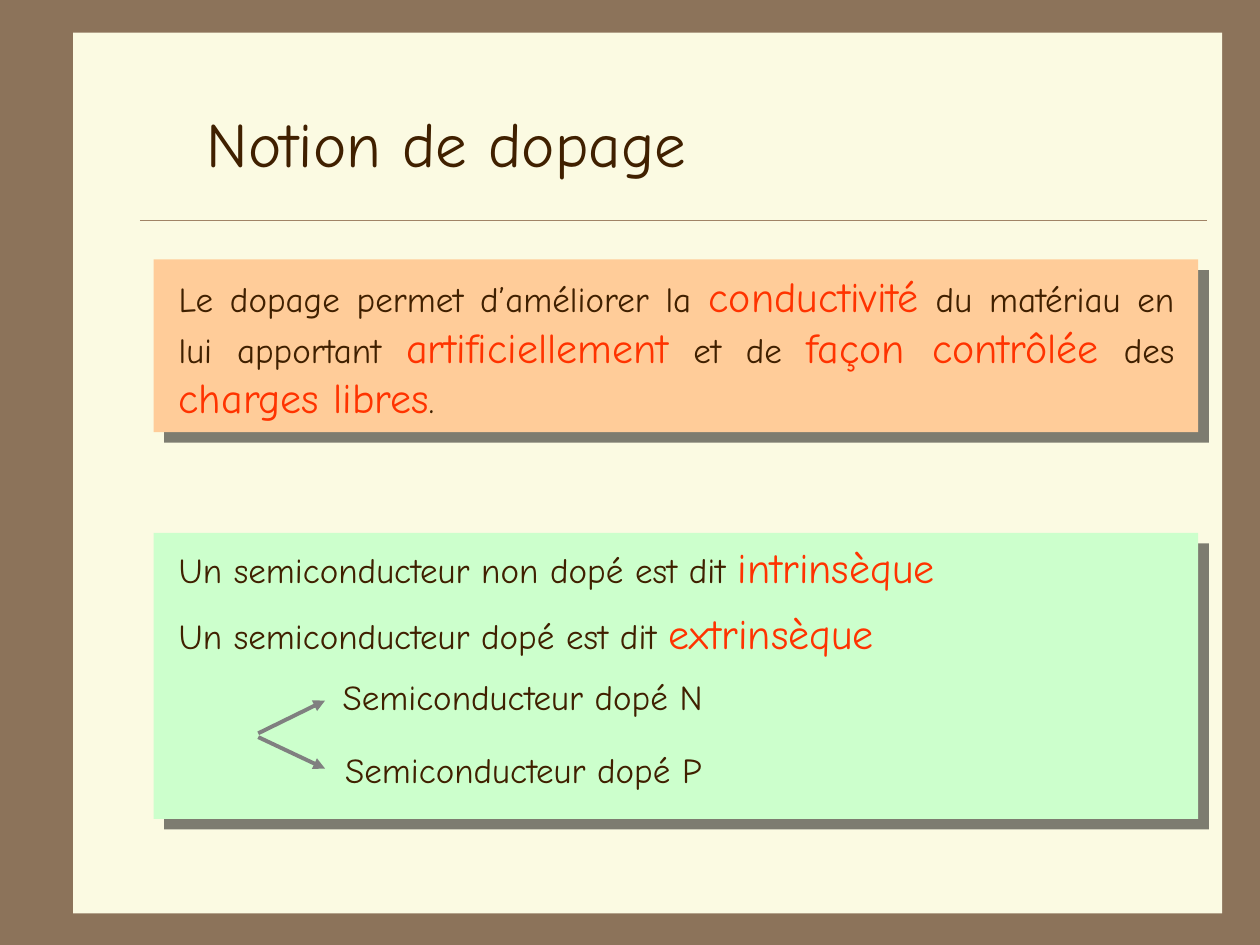
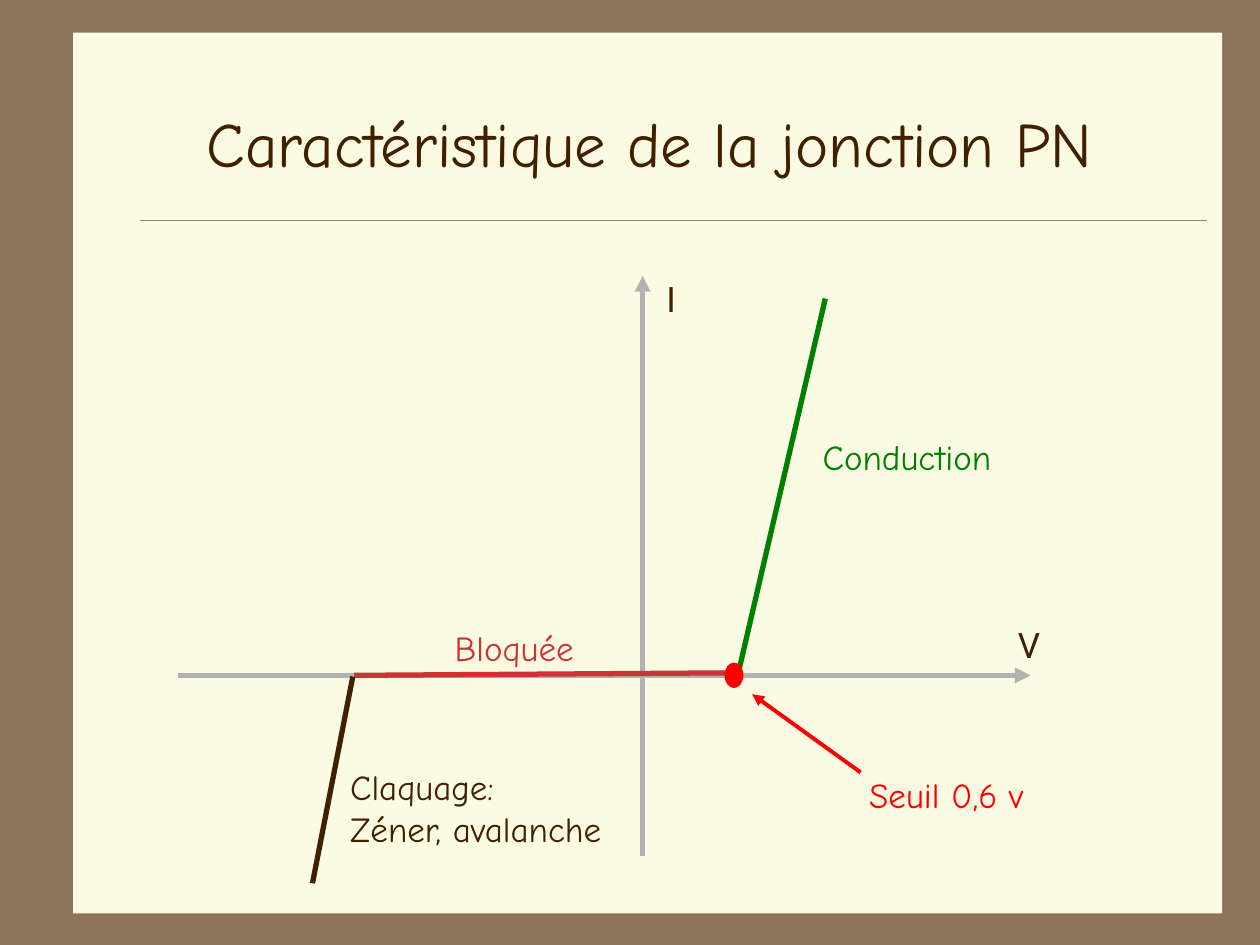
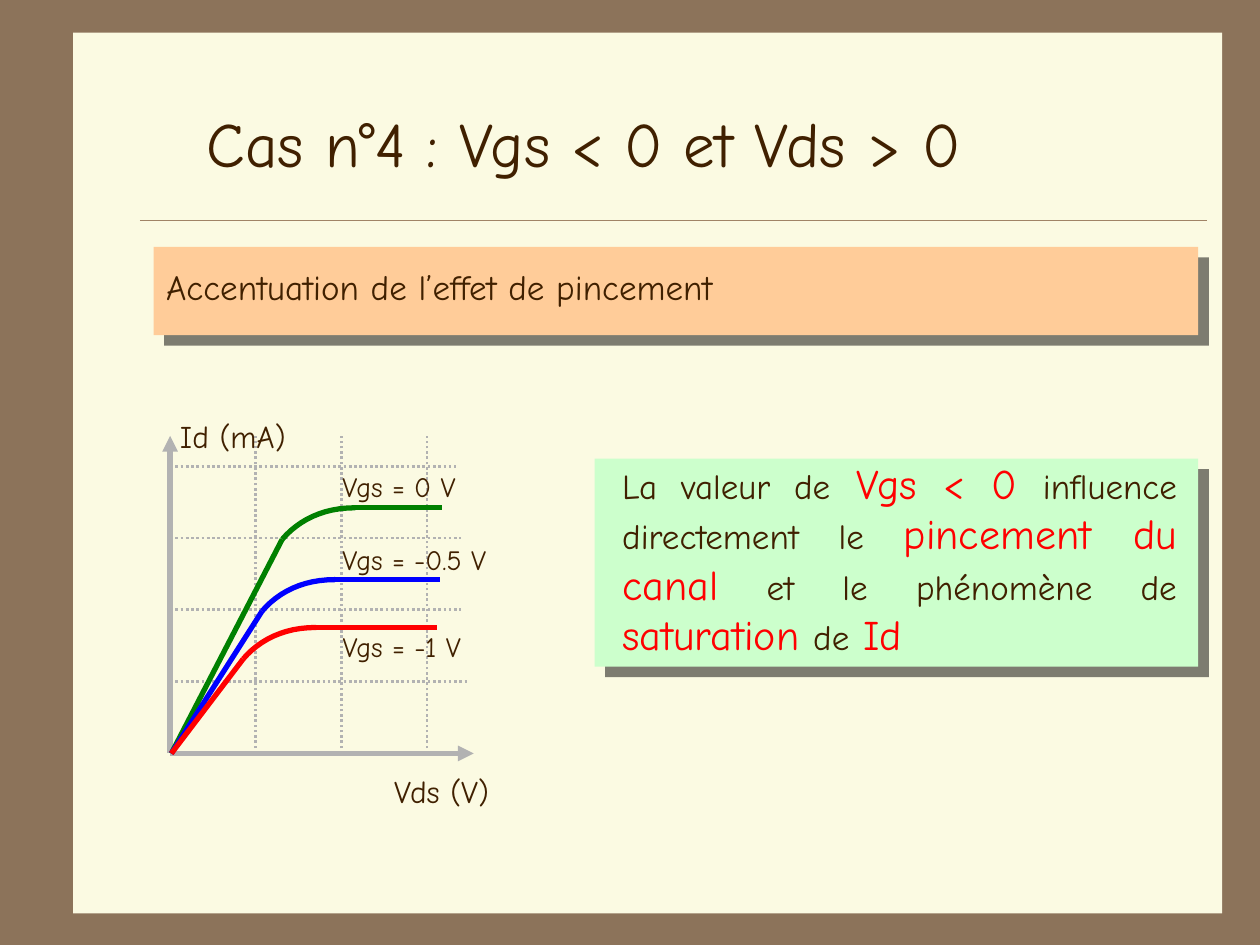
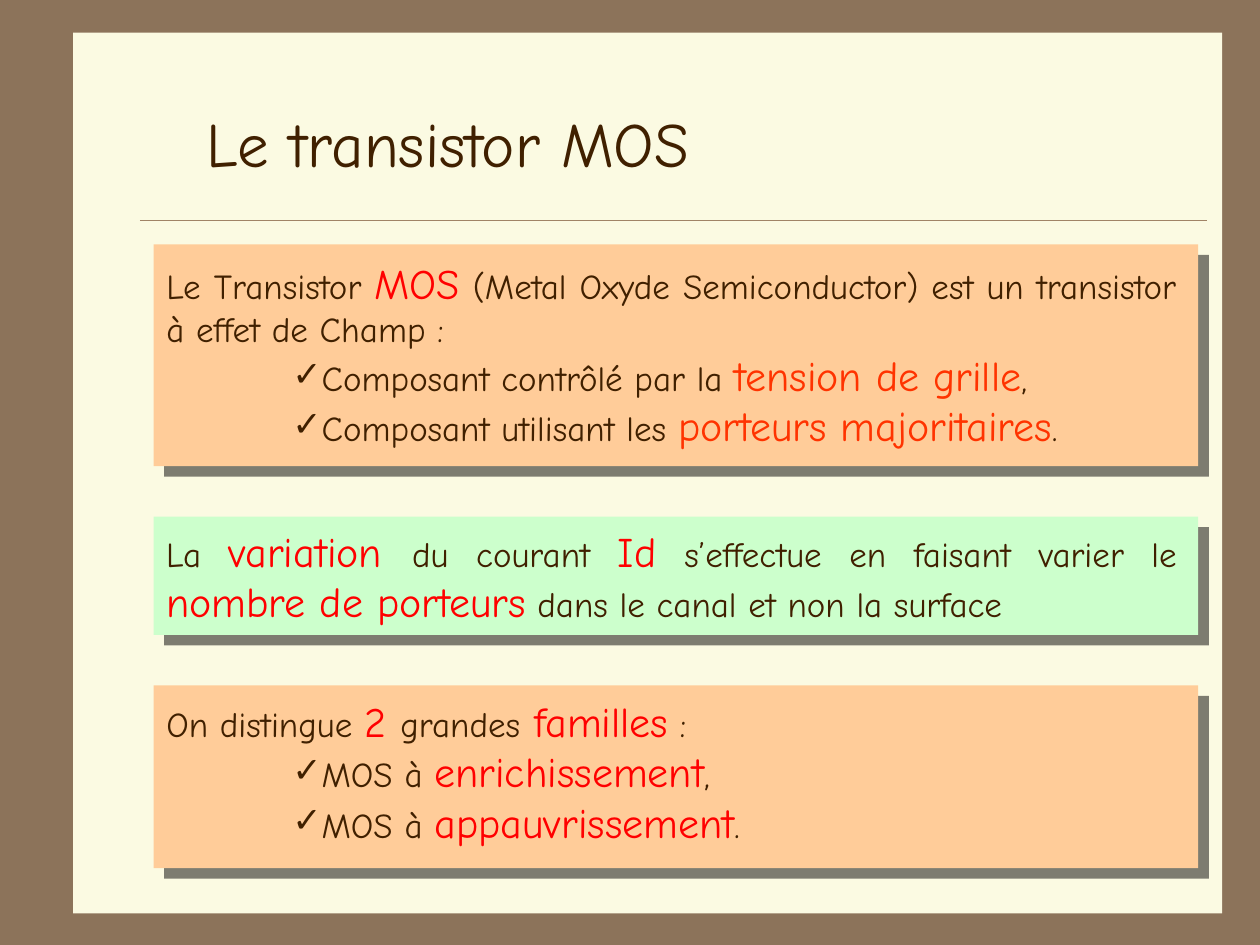
from lxml.etree import SubElement
from pptx import Presentation
from pptx.dml.color import RGBColor
from pptx.enum.dml import MSO_LINE
from pptx.enum.shapes import MSO_CONNECTOR, MSO_SHAPE
from pptx.enum.text import MSO_ANCHOR, MSO_AUTO_SIZE, PP_ALIGN
from pptx.oxml.ns import qn
from pptx.util import Inches, Pt

COLORS = {
    "frame": "8C735A", "paper": "FBFAE2", "rule": "A08366", "ink": "402000",
    "peach": "FFCC99", "mint": "CCFFCC", "shadow": "000000",
    "orange": "FF3300", "red": "FF0000", "brick": "CD3333",
    "green": "008000", "blue": "0000FF", "axis": "B2B2B2", "arrow": "808080",
}
FONT = "Comic Neue"
AXIS_FONT = "Roboto"
TITLE_ONLY, TWO_CONTENT = 5, 3
CARD_LEFT, CARD_WIDTH = 1.22, 8.29
TEXT_WIDTH = 8.22


def color(name):
    return RGBColor.from_string(COLORS[name])


def add_span(para, text, size=20, tone="ink", font=FONT):
    span = para.add_run()
    span.text = text
    span.font.size = Pt(size)
    span.font.name = font
    span.font.color.rgb = color(tone)


def write_spans(para, spans):
    """Write plain strings in ink, and (text, tone) pairs larger and coloured."""
    for item in spans:
        if isinstance(item, str):
            add_span(para, item)
        else:
            add_span(para, item[0], 24, item[1])


def place(shape, left, top, width, height):
    shape.left, shape.top = Inches(left), Inches(top)
    shape.width, shape.height = Inches(width), Inches(height)


def prepare_frame(shape, wrap):
    frame = shape.text_frame
    frame.word_wrap = wrap
    frame.auto_size = MSO_AUTO_SIZE.NONE
    frame.vertical_anchor = MSO_ANCHOR.TOP
    return frame


def add_label(page, left, top, width, height, lines, size=20, tone="ink", font=FONT):
    box = page.shapes.add_textbox(*map(Inches, (left, top, width, height)))
    frame = prepare_frame(box, False)
    for number, text in enumerate(lines.split("\n")):
        para = frame.add_paragraph() if number else frame.paragraphs[0]
        add_span(para, text, size, tone, font)


def add_statement(page, left, top, width, height, spans, align=PP_ALIGN.JUSTIFY):
    box = page.shapes.add_textbox(*map(Inches, (left, top, width, height)))
    para = prepare_frame(box, True).paragraphs[0]
    para.alignment = align
    write_spans(para, spans)


def fill_list(holder, box, intro, items):
    """Write an introduction and its check-marked items in a body placeholder."""
    place(holder, *box)
    frame = prepare_frame(holder, True)
    for number, spans in enumerate([intro, *items]):
        para = frame.add_paragraph() if number else frame.paragraphs[0]
        para.alignment = PP_ALIGN.JUSTIFY
        para.space_before = Pt(0)
        properties = para._p.get_or_add_pPr()
        properties.set("marL", str(Inches(1 if number else 0)))
        properties.set("indent", "0")
        if number:
            SubElement(properties, qn("a:buFont"), typeface=FONT)
            SubElement(properties, qn("a:buChar"), char="✓")
        else:
            SubElement(properties, qn("a:buNone"))
        write_spans(para, spans)


def add_block(page, kind, left, top, width, height, tone):
    block = page.shapes.add_shape(kind, *map(Inches, (left, top, width, height)))
    block.shadow.inherit = False
    block.fill.solid()
    block.fill.fore_color.rgb = color(tone)
    block.line.fill.background()
    return block


def add_card(page, top, height, tone, left=CARD_LEFT, width=CARD_WIDTH):
    card = add_block(page, MSO_SHAPE.RECTANGLE, left, top, width, height, tone)
    effects = card._element.spPr.find(qn("a:effectLst"))
    shadow = SubElement(effects, qn("a:outerShdw"), blurRad="0", dist=str(Pt(8.5)),
                        dir="2700000", algn="ctr", rotWithShape="0")
    shade = SubElement(shadow, qn("a:srgbClr"), val=COLORS["shadow"])
    SubElement(shade, qn("a:alpha"), val="50000")


def add_line(page, start, end, tone, weight=3, arrow=False, dotted=False):
    line = page.shapes.add_connector(
        MSO_CONNECTOR.STRAIGHT, *map(Inches, (*start, *end)))
    line.line.color.rgb = color(tone)
    line.line.width = Pt(weight)
    if dotted:
        line.line.dash_style = MSO_LINE.ROUND_DOT
    if arrow:
        SubElement(line.line._get_or_add_ln(), qn("a:tailEnd"), type="triangle")
    SubElement(line._element.spPr, qn("a:effectLst"))
    return line


def add_bend(page, left, top, tone):
    """Draw the knee of a curve, rising from the lower left and flattening out."""
    xs, ys = (0, 0.13, 0.32, 0.58), (0.25, 0.1, 0, 0)

    def bezier(c, t):
        s = 1 - t
        return s**3 * c[0] + 3 * s * s * t * c[1] + 3 * s * t * t * c[2] + t**3 * c[3]

    points = [(Inches(left + bezier(xs, step / 12)), Inches(top + bezier(ys, step / 12)))
              for step in range(13)]
    builder = page.shapes.build_freeform(*points[0])
    builder.add_line_segments(points[1:], close=False)
    bend = builder.convert_to_shape()
    bend.shadow.inherit = False
    bend.fill.background()
    bend.line.color.rgb = color(tone)
    bend.line.width = Pt(3)


def style_master(deck, page):
    """Give the master its frame, and move the paper and rule drawn on page to it."""
    master = deck.slide_master
    master.background.fill.solid()
    master.background.fill.fore_color.rgb = color("frame")
    paper = add_block(page, MSO_SHAPE.RECTANGLE, 0.58, 0.26, 9.12, 6.99, "paper")
    rule = add_line(page, (1.11, 1.75), (9.58, 1.75), "rule", 0.25)
    for position, part in enumerate((paper, rule), 2):
        master.shapes._spTree.insert(position, part._element)


def add_page(deck, title, width, layout=TITLE_ONLY):
    page = deck.slides.add_slide(deck.slide_layouts[layout])
    holder = page.shapes.title
    place(holder, 1.54, 0.78, width, 0.7)
    para = prepare_frame(holder, False).paragraphs[0]
    para.alignment = PP_ALIGN.LEFT
    add_span(para, title, 36)
    return page


def add_doping_fork(page, left, top):
    for width, rise, text_left, text_top, kind in (
            (3.28, -0.26, 0.57, -0.52, "N"), (3.21, 0.25, 0.59, 0.06, "P")):
        start = top + (0.02 if rise > 0 else -0.01)
        add_line(page, (left, start), (left + 0.53, start + rise), "arrow", 2.25, arrow=True)
        add_label(page, left + text_left, top + text_top, width, 0.43,
                  f"Semiconducteur dopé {kind}")


def build_doping(deck):
    page = add_page(deck, "Notion de dopage", 4.25)
    style_master(deck, page)
    add_card(page, 4.23, 2.27, "mint")
    add_card(page, 2.06, 1.37, "peach")
    add_statement(page, 1.32, 2.1, 8.1, 1.3, [
        "Le dopage permet d’améliorer la ", ("conductivité", "orange"),
        " du matériau en lui apportant ", ("artificiellement", "orange"),
        " et de ", ("façon contrôlée", "orange"), " des ",
        ("charges libres", "orange"), "."])
    for top, state, name in ((4.25, "non dopé", "intrinsèque"), (4.77, "dopé", "extrinsèque")):
        add_statement(page, 1.32, top, 6.64, 0.5,
                      [f"Un semiconducteur {state} est dit ", (name, "orange")],
                      PP_ALIGN.LEFT)
    add_doping_fork(page, 2.05, 5.83)


def add_junction_plot(page, left, top):
    """Draw the diode characteristic around the origin of its axes."""
    def at(x, y):
        return left + x, top + y

    add_line(page, at(0, 1.43), at(0, -3.17), "axis", arrow=True)
    add_line(page, at(-3.69, 0), at(3.08, 0), "axis", arrow=True)
    add_line(page, at(1.73, 0.77), at(0.87, 0.15), "red", 2.25, arrow=True)
    add_line(page, at(0.76, -0.02), at(1.45, -2.99), "green")
    add_line(page, at(0.74, -0.02), at(-2.29, 0), "brick")
    add_line(page, at(-2.3, 0.01), at(-2.62, 1.65), "ink")
    add_block(page, MSO_SHAPE.OVAL, *at(0.65, -0.1), 0.15, 0.2, "red")
    for x, y, width, height, text, tone, font in (
            (1.7, 0.73, 1.56, 0.43, "Seuil 0,6 v", "red", FONT),
            (1.33, -1.95, 1.61, 0.43, "Conduction", "green", FONT),
            (-1.59, -0.44, 1.19, 0.43, "Bloquée", "brick", FONT),
            (-2.42, 0.67, 2.38, 0.77, "Claquage:\nZéner, avalanche", "ink", FONT),
            (2.88, -0.46, 0.37, 0.43, "V", "ink", AXIS_FONT),
            (0.09, -3.21, 0.31, 0.43, "I", "ink", AXIS_FONT)):
        add_label(page, *at(x, y), width, height, text, tone=tone, font=font)


def build_junction(deck):
    page = add_page(deck, "Caractéristique de la jonction PN", 7.92)
    add_junction_plot(page, 5.1, 5.36)


def add_transistor_plot(page, left, top):
    """Draw the drain current curves from the origin of their axes."""
    def at(x, y):
        return left + x, top + y

    for row, end in enumerate((2.36, 2.31, 2.31, 2.27), 1):
        add_line(page, at(0, -0.57 * row), at(end, -0.57 * row), "axis", 1.5, dotted=True)
    for column in (1, 2, 3):
        x = 0.68 * column
        add_line(page, at(x, 0), at(x, -2.52), "axis", 1.5, dotted=True)
    add_line(page, at(0, 0), at(0, -2.52), "axis", arrow=True)
    add_line(page, at(0, 0), at(2.41, 0), "axis", arrow=True)
    for knee, level, end, tone, volts, width, label_top in (
            (0.89, -1.95, 2.16, "green", "0", 1.16, -2.3),
            (0.73, -1.38, 2.14, "blue", "-0.5", 1.44, -1.72),
            (0.58, -1, 2.12, "red", "-1", 1.22, -1.03)):
        add_line(page, at(0.01, 0), at(knee, level + 0.25), tone)
        add_bend(page, *at(knee, level), tone)
        add_line(page, at(knee + 0.57, level), at(end, level), tone)
        add_label(page, *at(1.27, label_top), width, 0.37, f"Vgs = {volts} V", 16)
    add_label(page, *at(1.68, 0.1), 1.06, 0.4, "Vds (V)", 18)
    add_label(page, *at(-0.02, -2.72), 1.15, 0.4, "Id (mA)", 18)


def build_pinch(deck):
    page = add_page(deck, "Cas n°4 : Vgs < 0 et Vds > 0", 6.47)
    add_card(page, 1.96, 0.7, "peach")
    add_statement(page, CARD_LEFT, 2.06, TEXT_WIDTH, 0.43,
                  ["Accentuation de l’effet de pincement"])
    add_transistor_plot(page, 1.35, 5.98)
    add_card(page, 3.64, 1.65, "mint", 4.72, 4.79)
    add_statement(page, 4.84, 3.58, 4.6, 1.7, [
        "La valeur de", (" Vgs < 0 ", "red"), "influence", (" ", "red"),
        "directement le ", ("pincement du canal", "red"),
        " et le phénomène de", (" saturation ", "red"), "de", (" Id", "red")])


def build_mos(deck):
    page = add_page(deck, "Le transistor MOS", 4.6, TWO_CONTENT)
    tree = page.shapes._spTree
    for position, (top, height, tone) in enumerate(
            ((1.94, 1.76, "peach"), (4.1, 0.94, "mint"), (5.44, 1.45, "peach")), 2):
        add_card(page, top, height, tone)
        tree.insert(position, tree[-1])
    fill_list(
        page.placeholders[1], (CARD_LEFT, 1.99, TEXT_WIDTH, 1.63),
        ["Le Transistor ", ("MOS", "red"),
         " (Metal Oxyde Semiconductor) est un transistor à effet de Champ :"],
        [["Composant contrôlé par la ", ("tension de grille", "orange"), ","],
         ["Composant utilisant les ", ("porteurs majoritaires", "orange"), "."]])
    add_statement(page, CARD_LEFT, 4.12, TEXT_WIDTH, 0.9, [
        "La ", ("variation ", "red"), "du courant ", ("Id", "red"),
        " s’effectue en faisant varier le ", ("nombre de porteurs", "red"),
        " dans le canal et non la surface"])
    fill_list(
        page.placeholders[2], (CARD_LEFT, 5.47, TEXT_WIDTH, 1.3),
        ["On distingue ", ("2 ", "red"), "grandes", (" familles", "red"), " :"],
        [["MOS à ", ("enrichissement", "red"), ","],
         ["MOS à ", ("appauvrissement", "red"), "."]])


def main():
    deck = Presentation()
    deck.slide_width, deck.slide_height = Inches(10), Inches(7.5)
    for build in (build_doping, build_junction, build_pinch, build_mos):
        build(deck)
    deck.save("out.pptx")


if __name__ == "__main__":
    main()
